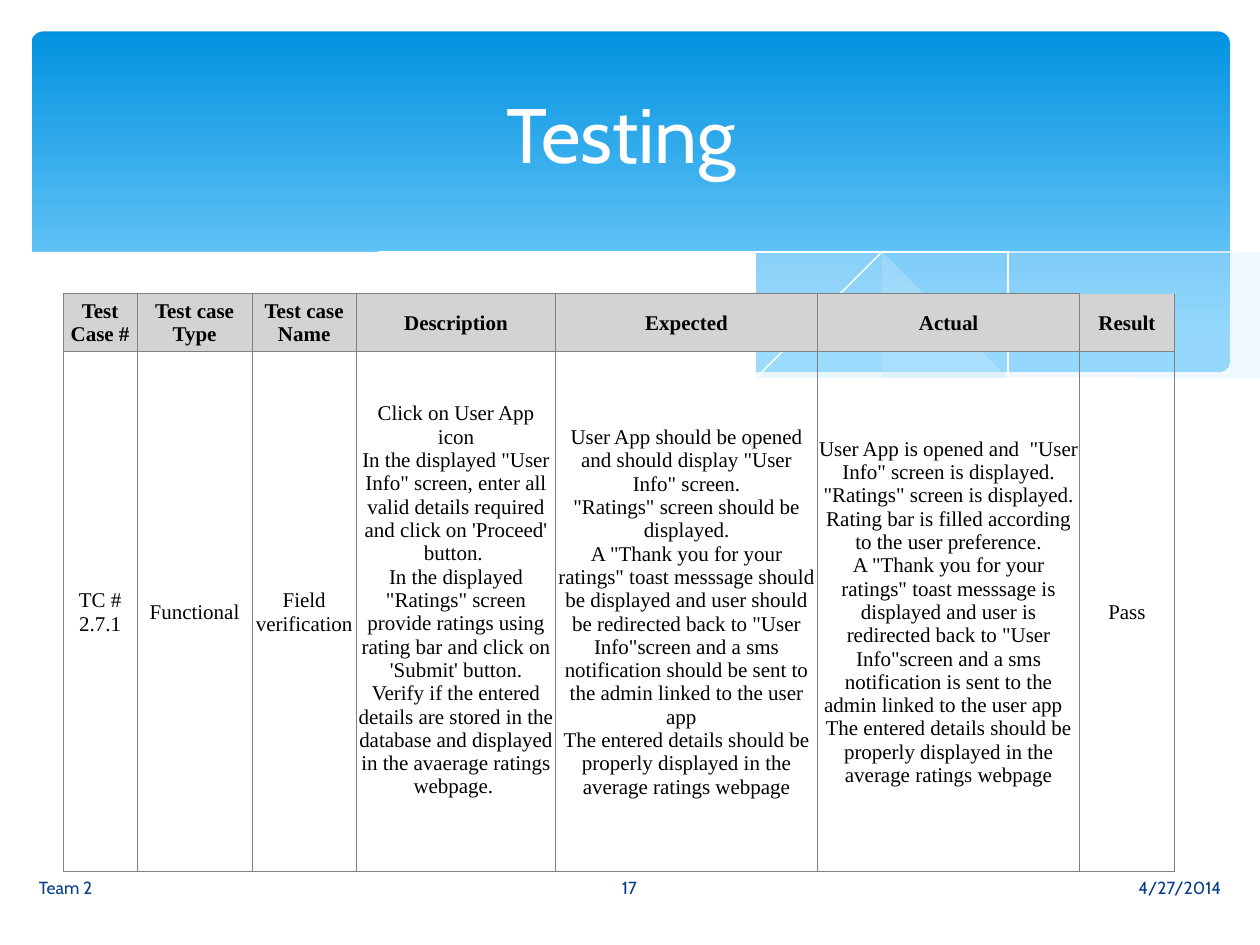
from dataclasses import dataclass
from typing import Optional

from lxml.etree import SubElement
from pptx import Presentation
from pptx.dml.color import RGBColor
from pptx.enum.shapes import MSO_SHAPE
from pptx.enum.text import MSO_ANCHOR, PP_ALIGN
from pptx.oxml import parse_xml
from pptx.oxml.ns import nsdecls, qn
from pptx.util import Inches, Pt


@dataclass(frozen=True)
class Theme:
    sky_top: str = "0293E0"
    sky_bottom: str = "83D3FE"
    haze: str = "C6E7FC"
    white: str = "FFFFFF"
    footer: str = "073E87"
    black: str = "000000"
    header: str = "D3D3D3"
    grid: str = "808080"
    sans: str = "Cabin"
    serif: str = "Times New Roman"
    title_size: int = 44
    table_size: int = 12
    footer_size: int = 10


@dataclass(frozen=True)
class Wave:
    """Smooth edges joined in turn; without fill, a thin white curve."""
    edges: tuple
    fill: Optional[str] = None
    alpha: int = 100


@dataclass(frozen=True)
class Label:
    text: str
    box: tuple
    align: PP_ALIGN
    size: int
    color: str


@dataclass(frozen=True)
class Column:
    width: float
    heading: str
    lines: tuple
    bottom: float = 0


T = Theme()

WAVES = (
    Wave((((9.76, 2), (9.06, 2.13), (8.05, 2.37), (6.61, 2.65)),
          ((6.61, 2.65), (7.32, 2.74), (8.14, 2.78), (8.97, 2.7), (9.76, 2.47))), T.haze, 29),
    Wave((((8.93, 2.73), (7.75, 2.54), (6.29, 2.22), (5.02, 1.96), (3.8, 1.85), (2.86, 1.91)),
          ((2.86, 1.91), (4.49, 2.22), (6.34, 2.61), (7.85, 2.78), (8.93, 2.73))), T.haze, 40),
    Wave((((3.09, 1.95), (4.01, 1.87), (5.33, 1.94), (6.95, 2.19), (9.07, 2.72)),)),
    Wave((((6.13, 2.57), (7.48, 2.23), (8.81, 1.96), (9.75, 1.85)),)),
    Wave((((9.77, 2.46), (8.99, 2.69), (7.93, 2.76), (6.48, 2.62), (4.47, 2.2),
           (3.16, 1.94), (1.93, 1.84), (0.95, 1.91), (0.23, 2.13)),
          ((0.23, 3.29), (9.77, 3.29))), T.white),
)

LABELS = (
    Label("4/27/2014", (5.65, 6.84, 4.14, 0.4), PP_ALIGN.RIGHT, T.footer_size, T.footer),
    Label("Team 2", (0.21, 6.84, 4.14, 0.4), PP_ALIGN.LEFT, T.footer_size, T.footer),
    Label("17", (4.36, 6.84, 1.27, 0.4), PP_ALIGN.CENTER, T.footer_size, T.footer),
    Label("Testing ", (0.5, 0.37, 9, 1.37), PP_ALIGN.CENTER, T.title_size, T.white),
)

COLUMNS = (
    Column(0.59, "Test Case #", ("TC # 2.7.1",)),
    Column(0.91, "Test case Type", ("Functional",)),
    Column(0.83, "Test case Name", ("Field verification",)),
    Column(1.58, "Description", (
        "Click on User App icon",
        "In the displayed \"User Info\" screen, enter all valid details required and click on "
        "'Proceed' button. ",
        "In the displayed \"Ratings\" screen provide ratings using rating bar and click on "
        "'Submit' button.",
        "Verify if the entered details are stored in the database and displayed in the "
        "avaerage ratings webpage. "), bottom=0.19),
    Column(2.08, "Expected", (
        "User App should be opened and should display \"User Info\" screen.",
        "\"Ratings\" screen should be displayed.",
        "A \"Thank you for your ratings\" toast messsage should be displayed and user should "
        "be redirected back to \"User Info\"screen and a sms notification should be sent to "
        "the admin linked to the user app  ",
        "The entered details should be properly displayed in the average ratings webpage")),
    Column(2.08, "Actual", (
        "User App is opened and  \"User Info\" screen is displayed.",
        "\"Ratings\" screen is displayed.",
        "Rating bar is filled according to the user preference.",
        "A \"Thank you for your ratings\" toast messsage is displayed and user is redirected "
        "back to \"User Info\"screen and a sms notification is sent to the admin linked to "
        "the user app  ",
        "The entered details should be properly displayed in the average ratings webpage")),
    Column(0.75, "Result", ("Pass",)),
)
ROW_HEIGHTS = (0.46, 4.13)


def rgb(color: str) -> RGBColor:
    return RGBColor.from_string(color)


def smooth(knots: tuple, steps: int = 8) -> list:
    """Points of a Catmull-Rom curve through the knots."""
    padded = (knots[0], *knots, knots[-1])
    points = [knots[0]]
    for quad in zip(padded, padded[1:], padded[2:], padded[3:]):
        for i in range(1, steps + 1):
            t = i / steps
            points.append(tuple(
                b + t / 2 * (c - a + t * (2 * a - 5 * b + 4 * c - d
                                          + t * (3 * b - a - 3 * c + d)))
                for a, b, c, d in zip(*quad)))
    return points


def add_run(p, text: str, font: str, size: int, color: str, bold: bool = False) -> None:
    r = p.add_run()
    r.text = text
    r.font.name, r.font.size, r.font.bold = font, Pt(size), bold
    r.font.color.rgb = rgb(color)


def add_sky(s) -> None:
    sp = s.shapes.add_shape(MSO_SHAPE.ROUNDED_RECTANGLE, *map(Inches, (0.25, 0.25, 9.51, 2.7)))
    sp.adjustments[0] = 0.034
    sp.shadow.inherit = False
    sp.line.fill.background()
    sp.fill.gradient()
    sp.fill.gradient_angle = 270
    stops = zip(sp.fill.gradient_stops, (T.sky_top, T.sky_bottom), (0, 0.9))
    for stop, color, position in stops:
        stop.color.rgb, stop.position = rgb(color), position


def add_wave(s, wave: Wave) -> None:
    start, *rest = [point for edge in wave.edges for point in smooth(edge)]
    fb = s.shapes.build_freeform(*start, scale=Inches(1))
    fb.add_line_segments(rest, close=wave.fill is not None)
    sp = fb.convert_to_shape()
    sp.shadow.inherit = False
    if wave.fill is None:
        sp.fill.background()
        sp.line.color.rgb, sp.line.width = rgb(T.white), Pt(0)
        return
    sp.line.fill.background()
    sp.fill.solid()
    sp.fill.fore_color.rgb = rgb(wave.fill)
    if wave.alpha < 100:
        color = sp._element.spPr.find(qn("a:solidFill"))[0]
        SubElement(color, qn("a:alpha"), val=str(wave.alpha * 1000))


def add_label(s, label: Label) -> None:
    tf = s.shapes.add_textbox(*map(Inches, label.box)).text_frame
    tf.word_wrap, tf.vertical_anchor = True, MSO_ANCHOR.MIDDLE
    p = tf.paragraphs[0]
    p.alignment = label.align
    add_run(p, label.text, T.sans, label.size, label.color)


def set_borders(cell, open_top: bool) -> None:
    tcPr = cell._tc.get_or_add_tcPr()
    solid = f'<a:solidFill><a:srgbClr val="{T.grid}"/></a:solidFill>'
    for i, side in enumerate("LRTB"):
        paint = "<a:noFill/>" if open_top and side == "T" else solid
        tcPr.insert(i, parse_xml(
            f'<a:ln{side} {nsdecls("a")} w="{Pt(0.5)}">{paint}</a:ln{side}>'))


def fill_cell(cell, lines: tuple, header: bool, bottom: float, open_top: bool) -> None:
    cell.margin_left = cell.margin_right = cell.margin_top = Inches(0.01)
    cell.margin_bottom = Inches(bottom)
    cell.vertical_anchor = MSO_ANCHOR.MIDDLE
    if header:
        cell.fill.solid()
        cell.fill.fore_color.rgb = rgb(T.header)
    else:
        cell.fill.background()
    set_borders(cell, open_top)
    p = cell.text_frame.paragraphs[0]
    p.alignment = PP_ALIGN.CENTER
    for i, line in enumerate(lines):
        if i:
            p.add_line_break()
        add_run(p, line, T.serif, T.table_size, T.black, header)


def add_test_table(s) -> None:
    width = sum(c.width for c in COLUMNS)
    box = (0.5, 2.33, width, sum(ROW_HEIGHTS))
    table = s.shapes.add_table(len(ROW_HEIGHTS), len(COLUMNS), *map(Inches, box)).table
    table.first_row = table.horz_banding = False
    for row, height in zip(table.rows, ROW_HEIGHTS):
        row.height = Inches(height)
    for i, column in enumerate(COLUMNS):
        table.columns[i].width = Inches(column.width)
        fill_cell(table.cell(0, i), (column.heading,), True, 0, column is COLUMNS[-1])
        fill_cell(table.cell(1, i), column.lines, False, column.bottom, False)


def main() -> None:
    prs = Presentation()
    prs.slide_width, prs.slide_height = Inches(10), Inches(7.5)
    s = prs.slides.add_slide(prs.slide_layouts[6])
    add_sky(s)
    for wave in WAVES:
        add_wave(s, wave)
    for label in LABELS:
        add_label(s, label)
    add_test_table(s)
    prs.save("out.pptx")


if __name__ == "__main__":
    main()
